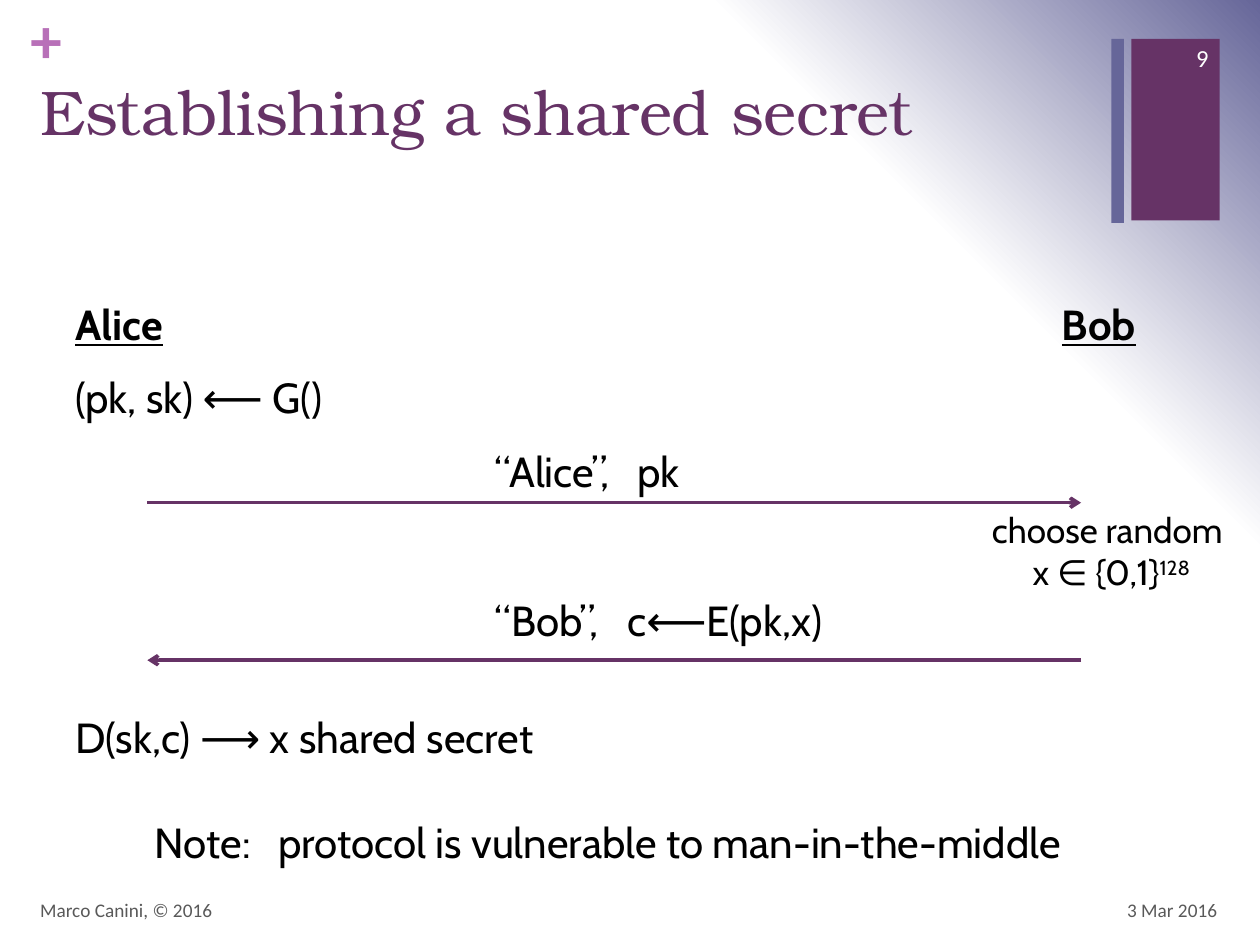
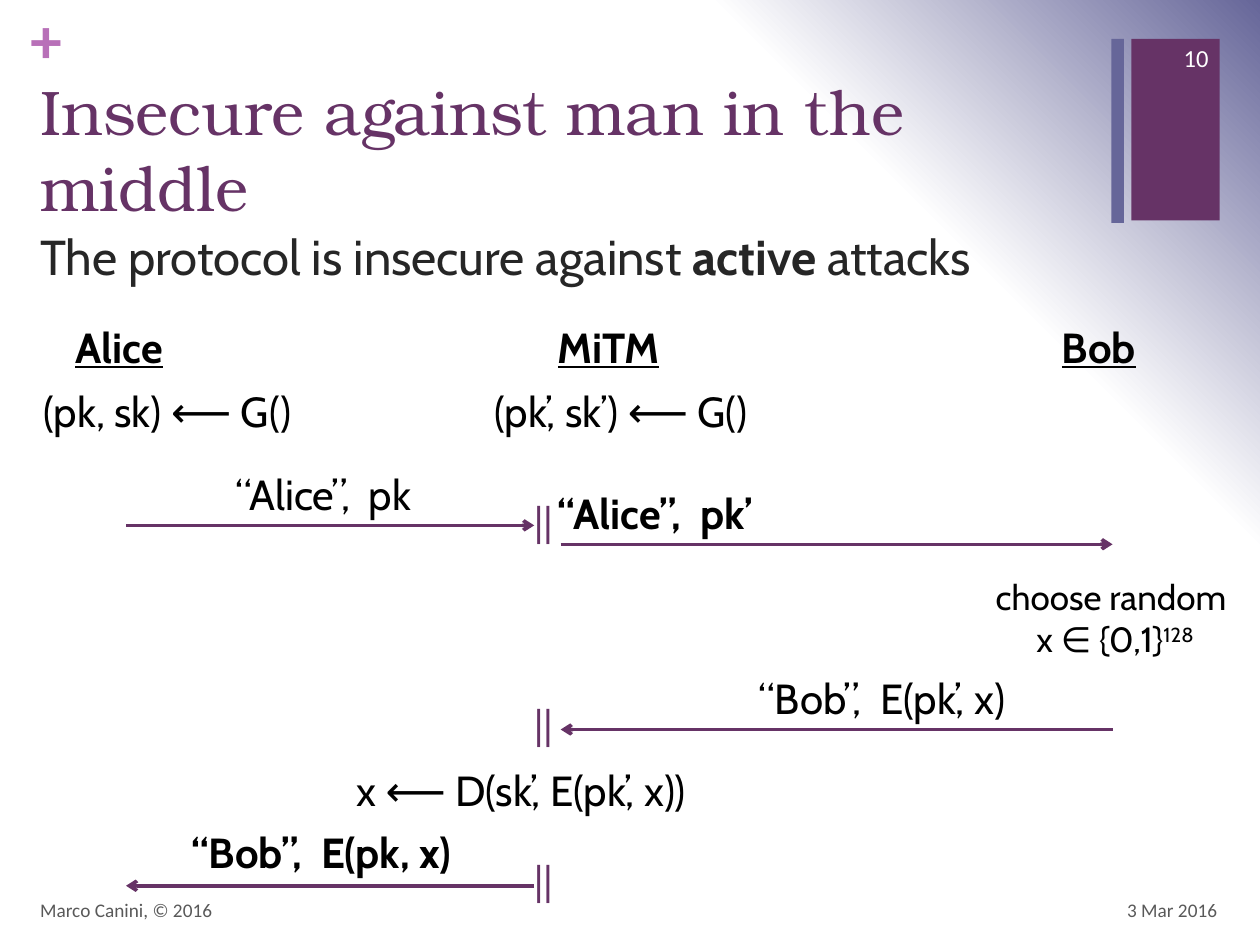
"""Build two slides on a shared secret and the man-in-the-middle attack."""
from dataclasses import dataclass

from lxml import etree
from pptx import Presentation
from pptx.dml.color import RGBColor
from pptx.enum.shapes import MSO_CONNECTOR, MSO_SHAPE
from pptx.enum.text import MSO_ANCHOR, MSO_AUTO_SIZE, PP_ALIGN
from pptx.oxml import parse_xml
from pptx.oxml.ns import nsdecls, qn
from pptx.util import Inches, Pt

RECTANGLE = MSO_SHAPE.RECTANGLE
STRAIGHT = MSO_CONNECTOR.STRAIGHT
TOP, MIDDLE = MSO_ANCHOR.TOP, MSO_ANCHOR.MIDDLE
LEFT, CENTER, RIGHT = PP_ALIGN.LEFT, PP_ALIGN.CENTER, PP_ALIGN.RIGHT
FIT_SHAPE, NO_FIT = MSO_AUTO_SIZE.SHAPE_TO_FIT_TEXT, MSO_AUTO_SIZE.NONE


@dataclass(frozen=True)
class Theme:
    """Colours, fonts and type sizes of the deck."""
    paper: str = "FFFFFF"
    purple: str = "663366"
    slate: str = "666699"
    orchid: str = "B870B8"
    ink: str = "000000"
    body_ink: str = "262626"
    grey: str = "595959"
    title_font: str = "TeX Gyre Bonum"
    body_font: str = "Cabin"
    small_font: str = "Calibri"
    mark_font: str = "Times New Roman"
    title_size: int = 36
    lead_size: int = 28
    text_size: int = 24
    aside_size: int = 20
    number_size: int = 14
    footer_size: int = 11
    line_width: int = 2


@dataclass(frozen=True)
class Span:
    """A run of text and what sets it apart."""
    text: str
    bold: bool = False
    underline: bool = False
    raised: bool = False


class ProtocolDeck:
    """Holds the theme and the current slide and draws each kind of element."""

    def __init__(self, theme):
        self.theme = theme
        self.deck = Presentation()
        self.deck.slide_width, self.deck.slide_height = Inches(10), Inches(7.5)
        self.page = None

    def start_page(self, title, number):
        """Add a slide with background, bands, title and footers."""
        theme = self.theme
        self.page = self.deck.slides.add_slide(self.deck.slide_layouts[6])
        self.background()
        self.band(8.98, 0.7, 1.44, theme.purple)
        self.text([[Span("+", bold=True)]], 0.24, 0, 0.29, 0.61, size=theme.title_size,
                  font=theme.small_font, color=theme.orchid, inset=False)
        self.band(8.82, 0.1, 1.46, theme.slate)
        self.text([[Span(title)]], 0.22, 0.53, 8.59, 1.22, size=theme.title_size,
                  font=theme.title_font, color=theme.purple, wrap=True)
        self.footer("3 Mar 2016", 7.43, 7.02, 2.33, RIGHT)
        self.footer("Marco Canini, © 2016", 0.22, 7.02, 6.7, LEFT)
        self.footer(number, 9.08, 0.26, 0.61, RIGHT, theme.number_size, theme.paper)

    def background(self):
        """Fill the slide with a circular gradient centred at the bottom left."""
        theme = self.theme
        stops = "".join(
            f'<a:gs pos="{place * 1000}"><a:srgbClr val="{color}"/></a:gs>'
            for place, color in ((0, theme.paper), (75, theme.paper), (100, theme.slate)))
        fill = parse_xml(
            f'<p:bg {nsdecls("p", "a")}><p:bgPr><a:gradFill rotWithShape="1">'
            f'<a:gsLst>{stops}</a:gsLst><a:path path="circle">'
            '<a:fillToRect l="0" t="100000" r="100000" b="0"/></a:path></a:gradFill>'
            '<a:effectLst/></p:bgPr></p:bg>')
        self.page.element.find(qn("p:cSld")).insert(0, fill)

    def band(self, left, width, height, color):
        """Draw a plain vertical band at the top of the slide."""
        shape = self.page.shapes.add_shape(
            RECTANGLE, Inches(left), Inches(0.31), Inches(width), Inches(height))
        shape.shadow.inherit = False
        shape.fill.solid()
        shape.fill.fore_color.rgb = RGBColor.from_string(color)
        shape.line.fill.background()

    def text(self, paragraphs, left, top, width, height=0.5, size=None, font=None,
             color=None, align=LEFT, anchor=TOP, wrap=False, inset=True, tab=None):
        """Draw a text box from paragraphs that are lists of spans."""
        theme = self.theme
        box = self.page.shapes.add_textbox(
            Inches(left), Inches(top), Inches(width), Inches(height))
        frame = box.text_frame
        frame.word_wrap = wrap
        frame.auto_size = NO_FIT if wrap else FIT_SHAPE
        frame.vertical_anchor = anchor
        if not inset:
            frame.margin_left = frame.margin_right = 0
            frame.margin_top = frame.margin_bottom = 0
        for index, spans in enumerate(paragraphs):
            para = frame.add_paragraph() if index else frame.paragraphs[0]
            para.alignment = align
            if tab:
                tabs = etree.SubElement(para._p.get_or_add_pPr(), qn("a:tabLst"))
                etree.SubElement(tabs, qn("a:tab"), pos=str(Inches(tab)), algn="l")
            for span in spans:
                run = para.add_run()
                run.text = span.text
                run.font.name = font or theme.body_font
                run.font.size = Pt(size or theme.text_size)
                run.font.color.rgb = RGBColor.from_string(color or theme.ink)
                run.font.bold = span.bold
                run.font.underline = span.underline
                if span.raised:
                    run.font._element.set("baseline", "30000")

    def footer(self, words, left, top, width, align, size=None, color=None):
        """Draw a small line of text centred in its height."""
        theme = self.theme
        self.text([[Span(words)]], left, top, width, 0.4, size=size or theme.footer_size,
                  font=theme.small_font, color=color or theme.grey,
                  align=align, anchor=MIDDLE, wrap=True)

    def party(self, name, left, top, width):
        """Name one party of the protocol."""
        self.text([[Span(name, bold=True, underline=True)]], left, top, width)

    def step(self, words, left, top, width, bold=False, tab=None):
        """Write one step of the protocol."""
        self.text([[Span(words, bold=bold)]], left, top, width, tab=tab)

    def random_choice(self, left, top):
        """Write the random choice that Bob makes."""
        self.text([[Span("choose random ")], [Span("x ∈ {0,1}"), Span("128", raised=True)]],
                  left, top, 2.1, 0.77, size=self.theme.aside_size, align=CENTER)

    def message(self, words, left, width, start, end, level, tab, rise=0.5, bold=False):
        """Draw a message arrow with its label above it."""
        self.step(words, left, level - rise, width, bold, tab)
        arrow = self.page.shapes.add_connector(
            STRAIGHT, Inches(start), Inches(level), Inches(end), Inches(level))
        arrow.line.color.rgb = RGBColor.from_string(self.theme.purple)
        arrow.line.width = Pt(self.theme.line_width)
        etree.SubElement(arrow.line._get_or_add_ln(), qn("a:tailEnd"), type="arrow")
        etree.SubElement(arrow._element.spPr, qn("a:effectLst"))

    def barrier(self, top):
        """Mark where the attacker stops a message."""
        self.text([[Span("||", bold=True)]], 4.14, top, 0.41,
                  font=self.theme.mark_font, color=self.theme.purple)


def build_shared_secret(deck):
    """Show the exchange between Alice and Bob."""
    alice, bob = 1.17, 8.58
    deck.start_page("Establishing a shared secret", "9")
    deck.party("Alice", 0.5, 2.32, 1.01)
    deck.party("Bob", 8.33, 2.32, 0.85)
    deck.step("(pk, sk) ⟵ G()", 0.5, 2.9, 2.43)
    deck.message("“Alice”,\tpk", 3.83, 1.91, alice, bob, 3.99, tab=1.13)
    deck.random_choice(7.77, 3.99)
    deck.message("“Bob”,\tc⟵E(pk,x)", 3.83, 3.05, bob, alice, 5.24, tab=1.05, rise=0.57)
    deck.step("D(sk,c) ⟶ x shared secret", 0.5, 5.6, 4.14)
    deck.step("Note:\tprotocol is vulnerable to man-in-the-middle", 1.13, 6.43, 7.75, tab=0.98)


def build_attack(deck):
    """Show the exchange with an attacker between Alice and Bob."""
    alice, attacker_left, attacker_right, bob = 1, 4.24, 4.45, 8.83
    deck.start_page("Insecure against man in the middle", "10")
    deck.text([[Span("The protocol is insecure against "), Span("active", bold=True),
                Span(" attacks")]], 0.22, 1.75, 9.54, 0.76, size=deck.theme.lead_size,
              color=deck.theme.body_ink, wrap=True)
    for name, left, width in (("Alice", 0.5, 1.01), ("Bob", 8.33, 0.85), ("MiTM", 4.33, 1.11)):
        deck.party(name, left, 2.5, width)
    deck.step("(pk, sk) ⟵ G()", 0.25, 3.01, 2.43)
    deck.step("(pk’, sk’) ⟵ G()", 3.83, 3.01, 2.54)
    deck.message("“Alice”,\tpk", 1.77, 1.8, alice, attacker_left, 4.17, tab=1.06)
    deck.message("“Alice”,\tpk’", 4.33, 2.15, attacker_right, bob, 4.32, tab=1.13, bold=True)
    deck.random_choice(7.8, 4.52)
    deck.message("“Bob”,\tE(pk’, x)", 5.92, 2.55, bob, attacker_right, 5.79, tab=0.97)
    deck.step("x ⟵ D(sk’, E(pk’, x))", 2.73, 6.02, 3.24)
    deck.message("“Bob”,\tE(pk, x)", 1.42, 2.82, attacker_left, alice, 7.03, tab=1.03,
                 rise=0.52, bold=True)
    for top in (3.87, 5.48, 6.72):
        deck.barrier(top)


def main():
    """Build the deck and save it."""
    deck = ProtocolDeck(Theme())
    build_shared_secret(deck)
    build_attack(deck)
    deck.deck.save("out.pptx")


if __name__ == "__main__":
    main()
